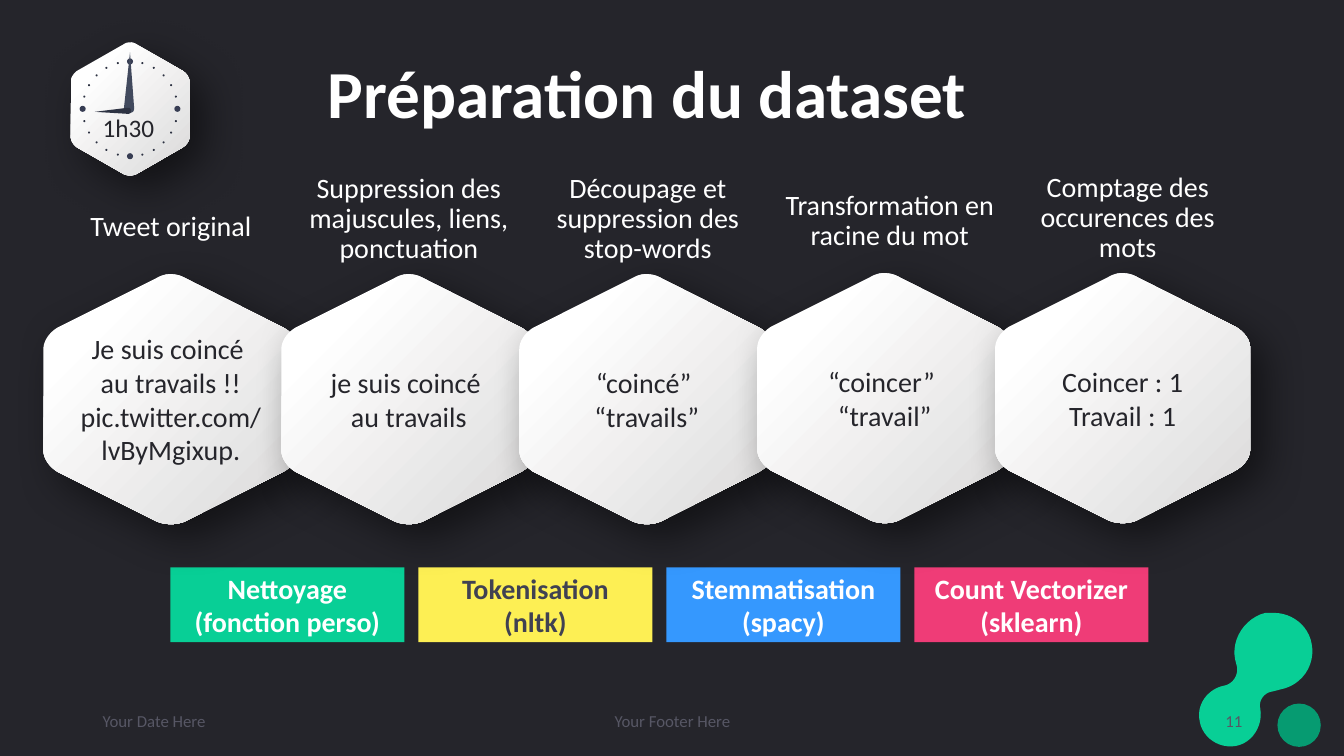
from math import cos, radians, sin

from lxml.etree import SubElement
from pptx import Presentation
from pptx.dml.color import RGBColor
from pptx.enum.shapes import MSO_SHAPE
from pptx.enum.text import MSO_ANCHOR, PP_ALIGN
from pptx.oxml.ns import qn
from pptx.util import Pt

EMU_PER_PX = 9144
CURVE_STEPS = 12

BACKGROUND = RGBColor(0x25, 0x25, 0x2B)
WHITE = RGBColor(0xFF, 0xFF, 0xFF)
SILVER = RGBColor(0xDA, 0xD9, 0xD9)
GREEN = RGBColor(0x08, 0xCF, 0x96)
DARK_GREEN = RGBColor(0x06, 0x9B, 0x71)
YELLOW = RGBColor(0xFD, 0xEF, 0x54)
BLUE = RGBColor(0x35, 0x98, 0xFE)
PINK = RGBColor(0xEF, 0x3C, 0x77)
SLATE = RGBColor(0x40, 0x41, 0x52)
FOOTER_GRAY = RGBColor(0x57, 0x57, 0x65)
CLOCK_MARK = RGBColor(0x37, 0x3D, 0x53)
CLOCK_DARK = RGBColor(0x2D, 0x32, 0x42)
MINUTE_BLUE = RGBColor(0x41, 0x49, 0x5D)

HEXAGON_SIZE = (253, 248)
HEXAGON = [
    (126, 0), (131, 0, 136, 1, 141, 4), (238, 53),
    (247, 58, 253, 66, 253, 75), (253, 174),
    (253, 183, 247, 191, 238, 196), (141, 245),
    (132, 249, 121, 249, 112, 245), (14, 196),
    (6, 191, 0, 183, 0, 174), (0, 75),
    (0, 66, 6, 58, 14, 53), (112, 4), (117, 1, 121, 0, 126, 0),
]
BLOB = [
    (1301, 639), (1305, 660, 1291, 680, 1270, 684), (1262, 686),
    (1254, 687, 1248, 695, 1250, 703), (1253, 720, 1242, 737, 1226, 740),
    (1209, 743, 1193, 732, 1190, 716), (1186, 699, 1198, 683, 1215, 680),
    (1223, 678, 1228, 670, 1227, 662), (1225, 654),
    (1221, 634, 1235, 613, 1255, 608), (1258, 608, 1261, 608, 1263, 608),
    (1282, 608, 1298, 621, 1301, 639),
]
MINUTE_HAND = [
    (123, 107), (123, 110, 125, 112, 128, 112),
    (131, 112, 133, 111, 133, 108), (133, 106), (129, 52),
]
HOUR_HAND = [
    (127, 113), (129, 113, 130, 112, 130, 110),
    (130, 109, 129, 107, 128, 107), (126, 107), (94, 111),
]

HEXAGONS = [
    (272, "Je suis coincé \vau travails !! pic.twitter.com/\vlvByMgixup."),
    (272, "je suis coincé \vau travails"),
    (272, "“coincé” \v“travails”"),
    (271, "“coincer” \v“travail”"),
    (271, "Coincer : 1\nTravail : 1"),
]
TAGS = [
    ("Nettoyage (fonction perso)", GREEN, WHITE),
    ("Tokenisation\n(nltk)", YELLOW, SLATE),
    ("Stemmatisation (spacy)", BLUE, WHITE),
    ("Count Vectorizer\n(sklearn)", PINK, WHITE),
]
CAPTIONS = [
    ("Tweet original", 75, 153, 189),
    ("Suppression des majuscules, liens, ponctuation", 288, 145, 235),
    ("Découpage et suppression des stop-words", 525, 145, 235),
    ("Transformation en racine du mot", 765, 147, 235),
    ("Comptage des occurences des mots", 1001, 144, 235),
]
FOOTERS = [
    ("Your Date Here", 92, 300, PP_ALIGN.LEFT),
    ("Your Footer Here", 442, 450, PP_ALIGN.CENTER),
    ("11", 942, 300, PP_ALIGN.RIGHT),
]


def emu(px):
    return round(px * EMU_PER_PX)


def flatten(path):
    points = [path[0]]
    for segment in path[1:]:
        if len(segment) == 2:
            points.append(segment)
            continue
        controls = [points[-1], segment[:2], segment[2:4], segment[4:]]
        for step in range(1, CURVE_STEPS + 1):
            t = step / CURVE_STEPS
            weights = ((1 - t) ** 3, 3 * t * (1 - t) ** 2, 3 * t * t * (1 - t), t ** 3)
            points.append(tuple(
                sum(weight * control[axis] for weight, control in zip(weights, controls))
                for axis in (0, 1)
            ))
    return points


class SlideBuilder:
    font_name = "Calibri"

    def __init__(self, slide):
        self.slide = slide
        slide.background.fill.solid()
        slide.background.fill.fore_color.rgb = BACKGROUND

    def label(self, shape, text, size, color, bold=False, align=PP_ALIGN.CENTER,
              spacing=None, **frame_format):
        frame = shape.text_frame
        frame_values = {"word_wrap": True, "vertical_anchor": MSO_ANCHOR.MIDDLE}
        for name, value in {**frame_values, **frame_format}.items():
            setattr(frame, name, value)
        frame.text = text
        for paragraph in frame.paragraphs:
            for name, value in {"alignment": align, "line_spacing": spacing}.items():
                setattr(paragraph, name, value)
            for run in paragraph.runs:
                values = {"name": self.font_name, "size": Pt(size), "bold": bold}
                for name, value in values.items():
                    setattr(run.font, name, value)
                run.font.color.rgb = color

    def text(self, box, text, size, color, **text_format):
        shape = self.slide.shapes.add_textbox(*map(emu, box))
        self.label(shape, text, size, color, **text_format)

    def paint(self, shape, color):
        shape.shadow.inherit = False
        shape.line.fill.background()
        shape.fill.solid()
        shape.fill.fore_color.rgb = color
        return shape

    def preset(self, kind, box, color):
        return self.paint(self.slide.shapes.add_shape(kind, *map(emu, box)), color)

    def outline(self, path, color):
        points = [tuple(map(emu, point)) for point in flatten(path)]
        builder = self.slide.shapes.build_freeform(*points[0])
        builder.add_line_segments(points[1:], close=True)
        return self.paint(builder.convert_to_shape(), color)

    def hexagon(self, left, top, width, height):
        offsets = (left, top)
        scales = (width / HEXAGON_SIZE[0], height / HEXAGON_SIZE[1])
        path = [
            tuple(offsets[i % 2] + value * scales[i % 2] for i, value in enumerate(segment))
            for segment in HEXAGON
        ]
        shape = self.outline(path, WHITE)
        shape.fill.gradient()
        shape.fill.gradient_angle = 315
        for stop, color, position in zip(shape.fill.gradient_stops, (WHITE, SILVER), (0.2, 1)):
            stop.color.rgb = color
            stop.position = position
        effects = shape.element.spPr.find(qn("a:effectLst"))
        shadow = SubElement(effects, qn("a:outerShdw"), blurRad=str(Pt(30)), dist=str(Pt(14)),
                            dir="2700000", algn="tl", rotWithShape="0")
        black = SubElement(shadow, qn("a:srgbClr"), val="000000")
        SubElement(black, qn("a:alpha"), val="50000")
        return shape

    def clock(self):
        self.hexagon(70, 42, 118, 132)
        for mark in range(24):
            angle = radians(15 * mark)
            size, color = (2, CLOCK_DARK) if mark % 6 else (6, CLOCK_MARK)
            left = 129 + 47 * cos(angle) - size / 2
            top = 108 + 47 * sin(angle) - size / 2
            self.preset(MSO_SHAPE.OVAL, (left, top, size, size), color)
        self.outline(MINUTE_HAND, MINUTE_BLUE)
        self.outline(HOUR_HAND, CLOCK_DARK)
        self.text((92, 107, 72, 40), "1h30", 18, BACKGROUND, align=PP_ALIGN.LEFT,
                  word_wrap=False, vertical_anchor=MSO_ANCHOR.TOP)


def main():
    presentation = Presentation()
    presentation.slide_width = emu(1333)
    presentation.slide_height = emu(750)
    builder = SlideBuilder(presentation.slides.add_slide(presentation.slide_layouts[6]))

    builder.outline(BLOB, GREEN)
    builder.preset(MSO_SHAPE.OVAL, (1267, 698, 43, 43), DARK_GREEN)
    builder.text((67, 23, 1150, 145), "Préparation du dataset", 48, WHITE, bold=True, spacing=0.9)
    for text, left, width, align in FOOTERS:
        builder.text((left, 695, width, 40), text, 12, FOOTER_GRAY, align=align)
    for index, (text, fill, color) in enumerate(TAGS):
        tag = builder.preset(MSO_SHAPE.RECTANGLE, (169 + 246 * index, 563, 232, 74), fill)
        builder.label(tag, text, 20, color, bold=True)
    margins = {"margin_left": emu(6), "margin_right": emu(6),
               "margin_top": emu(3), "margin_bottom": emu(3)}
    for index, (top, text) in enumerate(HEXAGONS):
        hexagon = builder.hexagon(43 + 236 * index, top, *HEXAGON_SIZE)
        builder.label(hexagon, text, 20, BACKGROUND, **margins)
    for text, left, top, width in CAPTIONS:
        builder.text((left, top, width, 145), text, 20, WHITE, spacing=0.9)
    builder.clock()
    presentation.save("out.pptx")


if __name__ == "__main__":
    main()
